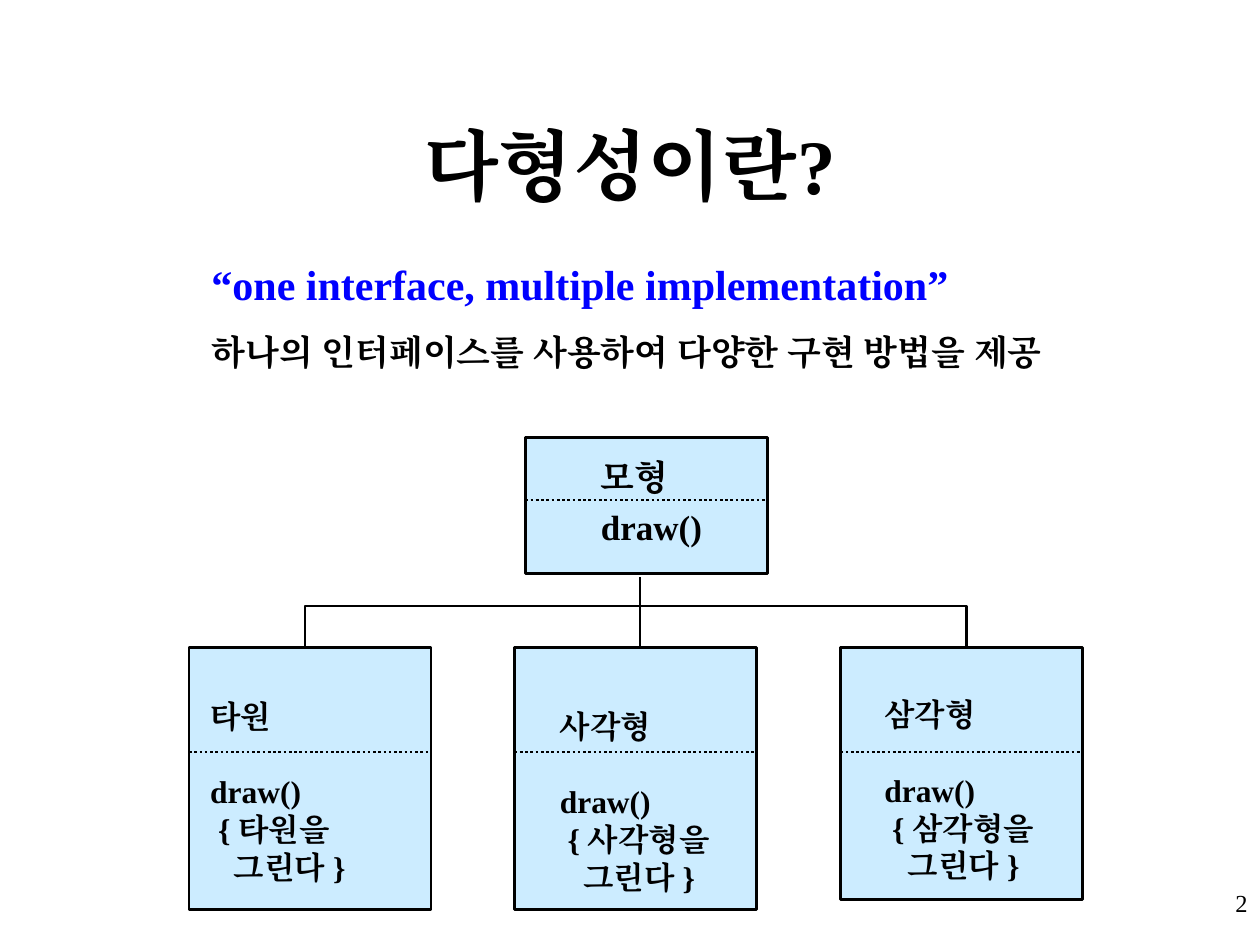
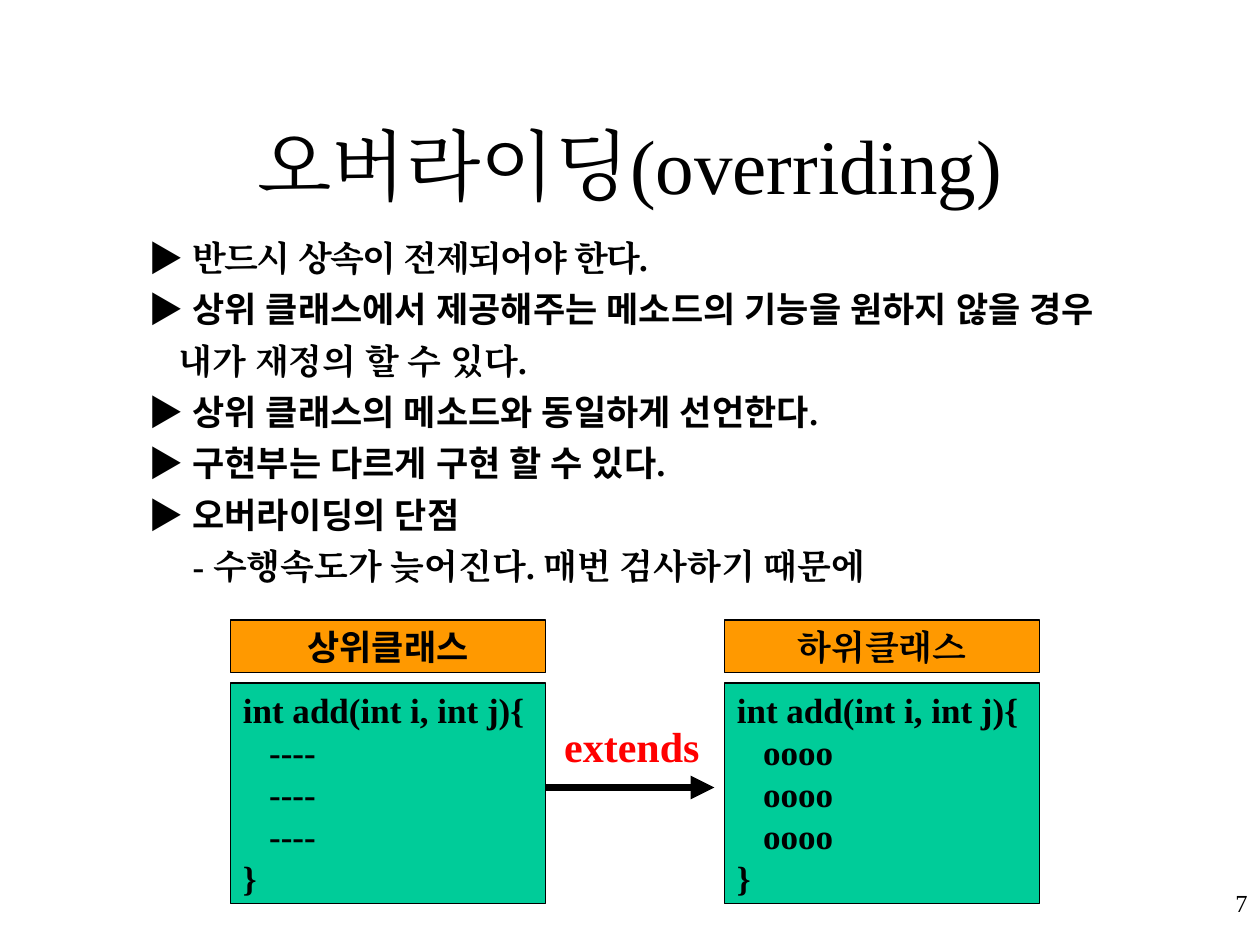
from lxml import etree
from pptx import Presentation
from pptx.dml.color import RGBColor
from pptx.enum.dml import MSO_LINE
from pptx.enum.shapes import MSO_CONNECTOR, MSO_SHAPE
from pptx.enum.text import MSO_ANCHOR, MSO_AUTO_SIZE, PP_ALIGN
from pptx.oxml.ns import qn
from pptx.util import Inches, Pt

LEFT, CENTER, RIGHT = PP_ALIGN.LEFT, PP_ALIGN.CENTER, PP_ALIGN.RIGHT
TOP, MIDDLE = MSO_ANCHOR.TOP, MSO_ANCHOR.MIDDLE
RECTANGLE, STRAIGHT = MSO_SHAPE.RECTANGLE, MSO_CONNECTOR.STRAIGHT
DOTTED = MSO_LINE.ROUND_DOT

FONT = "Times New Roman"
BLACK, BLUE, RED = "000000", "0000FF", "FF0000"
SKY, GREEN, ORANGE = "CCECFF", "00CC99", "FF9900"
WIDTH, HEIGHT = 10, 7.5

# Polymorphism slide
MOTTO = "“one interface, multiple implementation”"
MEANING = "하나의 인터페이스를 사용하여 다양한 구현 방법을 제공"
BASE_CLASS = ["모형", "draw()"]
# name, box height, text offset from the box's left edge, text top
SUBCLASSES = [
    ("타원", 2.08, 0.07, 5.48),
    ("사각형", 2.08, 0.26, 5.56),
    ("삼각형", 2, 0.25, 5.47),
]
CLASS_WIDTH = 1.92
SUBCLASS_LEFT, SUBCLASS_STEP, SUBCLASS_TOP = 1.5, 2.585, 5.14
BRANCH_TOP = 4.81

# Overriding slide: text, left indent in inches
RULES = [
    ("▶ 반드시 상속이 전제되어야 한다.", 0),
    ("▶ 상위 클래스에서 제공해주는 메소드의 기능을 원하지 않을 경우", 0),
    ("내가 재정의 할 수 있다.", 0.24),
    ("▶ 상위 클래스의 메소드와 동일하게 선언한다.", 0),
    ("▶ 구현부는 다르게 구현 할 수 있다.", 0),
    ("▶ 오버라이딩의 단점", 0),
    ("- 수행속도가 늦어진다. 매번 검사하기 때문에", 0.35),
]
# heading, filler of the method body, left edge
CODE_CLASSES = [("상위클래스", "----", 1.83), ("하위클래스", "oooo", 5.75)]
CODE_WIDTH = 2.5


def color(code):
    return RGBColor.from_string(code)


def line(text, size=20, ink=BLACK, bold=True, before=0, spacing=None, indent=0):
    """Describe one paragraph."""
    return dict(text=text, size=size, ink=ink, bold=bold,
                before=before, spacing=spacing, indent=indent)


def write(shape, lines, align=LEFT, anchor=TOP, wrap=True):
    frame = shape.text_frame
    frame.word_wrap = wrap
    frame.vertical_anchor = anchor
    for number, item in enumerate(lines):
        para = frame.add_paragraph() if number else frame.paragraphs[0]
        para.alignment = align
        if number and item["before"]:
            para.space_before = Pt(item["before"])
        if item["spacing"]:
            para.line_spacing = item["spacing"]
        if item["indent"]:
            para._p.get_or_add_pPr().set("marL", str(Inches(item["indent"])))
        span = para.add_run()
        span.text = item["text"]
        span.font.name = FONT
        span.font.size = Pt(item["size"])
        span.font.bold = item["bold"]
        span.font.color.rgb = color(item["ink"])
        etree.SubElement(span._r.get_or_add_rPr(), qn("a:ea"), typeface=FONT)


def add_text(page, area, lines, grow=True, **layout):
    box = page.shapes.add_textbox(*map(Inches, area))
    write(box, lines, **layout)
    if grow:
        box.text_frame.auto_size = MSO_AUTO_SIZE.SHAPE_TO_FIT_TEXT


def add_box(page, area, fill, weight):
    box = page.shapes.add_shape(RECTANGLE, *map(Inches, area))
    box.shadow.inherit = False
    box.fill.solid()
    box.fill.fore_color.rgb = color(fill)
    box.line.color.rgb = color(BLACK)
    box.line.width = Pt(weight)
    return box


def add_line(page, start, end, weight=1.5, dash=None, arrow=False):
    link = page.shapes.add_connector(STRAIGHT, *map(Inches, start + end))
    link.line.color.rgb = color(BLACK)
    link.line.width = Pt(weight)
    if dash:
        link.line.dash_style = dash
    if arrow:
        etree.SubElement(link.line._get_or_add_ln(), qn("a:tailEnd"), type="triangle")
    etree.SubElement(link._element.spPr, qn("a:effectLst"))


def add_page(deck, title, number, bold):
    page = deck.slides.add_slide(deck.slide_layouts[6])
    add_text(page, (0.75, 0.67, WIDTH - 1.5, 1.25), [line(title, 44, bold=bold)],
             grow=False, align=CENTER, anchor=MIDDLE)
    add_text(page, (7.92, 7, 2.08, 0.5), [line(number, 14, bold=False)],
             grow=False, align=RIGHT)
    return page


def add_class(page, left, top, height, divider):
    """Draw a class box with a dotted line under its name."""
    add_box(page, (left, top, CLASS_WIDTH, height), SKY, 1.5)
    add_line(page, (left, divider), (left + CLASS_WIDTH, divider), dash=DOTTED)


def add_branch(page, left, right):
    """Draw the open bracket that joins the outer subclasses."""
    points = [(left, BRANCH_TOP), (right, BRANCH_TOP), (right, SUBCLASS_TOP)]
    builder = page.shapes.build_freeform(Inches(left), Inches(SUBCLASS_TOP))
    builder.add_line_segments([(Inches(x), Inches(y)) for x, y in points], close=False)
    branch = builder.convert_to_shape()
    branch.shadow.inherit = False
    branch.fill.background()
    branch.line.color.rgb = color(BLACK)
    branch.line.width = Pt(1.5)


def build_polymorphism(deck):
    page = add_page(deck, "다형성이란?", "2", bold=True)
    add_text(page, (1.58, 2, 7.92, 1.52),
             [line(MOTTO, 24, BLUE), line(MEANING, before=12.5)])

    add_class(page, 4.17, 3.47, 1.08, 3.97)
    add_text(page, (4.67, 3.5, 1.3, 0.9),
             [line(text, spacing=1.2) for text in BASE_CLASS])

    for column, (name, height, offset, text_top) in enumerate(SUBCLASSES):
        left = SUBCLASS_LEFT + column * SUBCLASS_STEP
        add_class(page, left, SUBCLASS_TOP, height, 5.97)
        method = [line(name, 18), line("draw()", 18, before=21.5),
                  line(" { " + name + "을", 18), line("   그린다 }", 18)]
        add_text(page, (left + offset, text_top, 1.6, 1.6), method)

    add_branch(page, 2.42, 7.67)
    add_line(page, (5.08, 4.58), (5.08, SUBCLASS_TOP))


def build_overriding(deck):
    page = add_page(deck, "오버라이딩(overriding)", "7", bold=False)
    rules = [line(text, before=12.5, spacing=0.7, indent=indent)
             for text, indent in RULES]
    add_text(page, (1.08, 1.92, 8.58, 2.78), rules)

    for heading, filler, left in CODE_CLASSES:
        code = ["int add(int i, int j){"] + ["   " + filler] * 3 + ["}"]
        body = add_box(page, (left, 5.42, CODE_WIDTH, 1.75), GREEN, 0.75)
        write(body, [line(text) for text in code], anchor=MIDDLE, wrap=False)
        header = add_box(page, (left, 4.92, CODE_WIDTH, 0.42), ORANGE, 0.75)
        write(header, [line(heading)], align=CENTER, anchor=MIDDLE, wrap=False)

    add_line(page, (4.33, 6.25), (5.67, 6.25), weight=4.5, arrow=True)
    add_text(page, (4.38, 5.67, 1.37, 0.5), [line("extends", 24, RED)])


def main():
    deck = Presentation()
    deck.slide_width, deck.slide_height = Inches(WIDTH), Inches(HEIGHT)
    build_polymorphism(deck)
    build_overriding(deck)
    deck.save("out.pptx")


if __name__ == "__main__":
    main()
